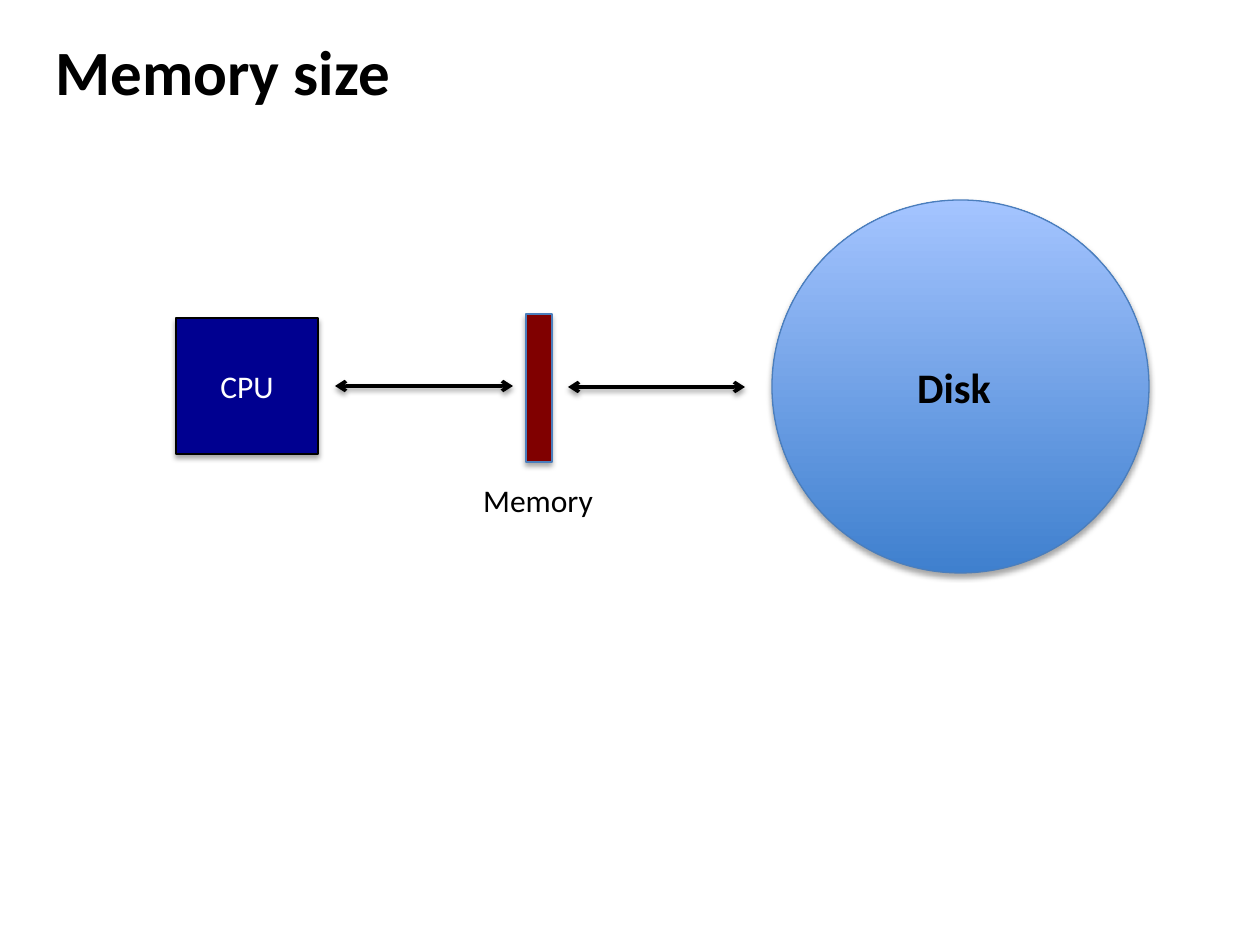
import pptx
import pptx.dml.color
import pptx.enum.shapes
import pptx.enum.text
import pptx.oxml.ns
import pptx.util
from lxml import etree

PX = 914400 / 126
COLORS = {
    "black": "000000",
    "white": "FFFFFF",
    "cpu": "000090",
    "memory": "800000",
    "outline": "4B7EBC",
    "disk_bottom": "3F80CE",
    "disk_top": "A4C4FF",
}
SHAPES = pptx.enum.shapes.MSO_SHAPE
ALIGN = pptx.enum.text.PP_ALIGN


def px(*lengths):
    return [pptx.util.Emu(round(length * PX)) for length in lengths]


def rgb(name):
    return pptx.dml.color.RGBColor.from_string(COLORS[name])


def add_child(parent, tag, **attributes):
    child = etree.SubElement(parent, pptx.oxml.ns.qn(tag))
    for name, value in attributes.items():
        child.set(name, str(value))
    return child


def add_shadow(effects, distance, opacity):
    shadow = add_child(effects, "a:outerShdw", blurRad=pptx.util.Pt(3.1),
                       dist=pptx.util.Pt(distance), dir=5400000, rotWithShape=0)
    color = add_child(shadow, "a:srgbClr", val=COLORS["black"])
    add_child(color, "a:alpha", val=opacity * 1000)


def write_text(shape, text, size, color="black", bold=False, align=ALIGN.CENTER):
    para = shape.text_frame.paragraphs[0]
    para.alignment = align
    span = para.add_run()
    span.text = text
    formats = {"name": "Calibri", "size": pptx.util.Pt(size), "bold": bold}
    for name, value in formats.items():
        setattr(span.font, name, value)
    span.font.color.rgb = rgb(color)


def add_label(page, area, text, size, wrap=True, **style):
    box = page.shapes.add_textbox(*px(*area))
    formats = {"word_wrap": wrap,
               "auto_size": pptx.enum.text.MSO_AUTO_SIZE.SHAPE_TO_FIT_TEXT}
    for name, value in formats.items():
        setattr(box.text_frame, name, value)
    write_text(box, text, size, **style)


def add_part(page, kind, area, fill, outline):
    part = page.shapes.add_shape(kind, *px(*area))
    if isinstance(fill, tuple):
        part.fill.gradient()
        part.fill.gradient_angle = 90
        for stop, color, position in zip(part.fill.gradient_stops, fill, (0, 1)):
            stop.color.rgb = rgb(color)
            stop.position = position
    else:
        part.fill.solid()
        part.fill.fore_color.rgb = rgb(fill)
    part.line.color.rgb = rgb(outline)
    part.line.width = pptx.util.Pt(0.75)
    part.shadow.inherit = False
    effects = part._element.spPr.find(pptx.oxml.ns.qn("a:effectLst"))
    add_shadow(effects, 1.8, 35)
    return part


def add_arrow(page, left, right, height):
    arrow = page.shapes.add_connector(
        pptx.enum.shapes.MSO_CONNECTOR.STRAIGHT, *px(left, height, right, height))
    arrow.line.color.rgb = rgb("black")
    arrow.line.width = pptx.util.Pt(2)
    properties = arrow._element.spPr
    line = properties.find(pptx.oxml.ns.qn("a:ln"))
    for end in ("a:headEnd", "a:tailEnd"):
        add_child(line, end, type="arrow")
    add_shadow(add_child(properties, "a:effectLst"), 1.6, 38)


def main():
    deck = pptx.Presentation()
    deck.slide_width, deck.slide_height = px(1260, 945)
    page = deck.slides.add_slide(deck.slide_layouts[6])

    add_label(page, (43, 26, 364, 89), "Memory size", 36,
              wrap=False, bold=True, align=ALIGN.LEFT)
    cpu = add_part(page, SHAPES.RECTANGLE, (176, 318, 142, 136), "cpu", "black")
    write_text(cpu, "CPU", 18, "white")
    add_part(page, SHAPES.RECTANGLE, (526, 314, 26, 148), "memory", "outline")
    add_label(page, (452, 475, 172, 50), "Memory", 18)
    add_arrow(page, 335, 513, 386)
    add_arrow(page, 568, 745, 387)
    add_part(page, SHAPES.OVAL, (772, 200, 377, 373),
             ("disk_bottom", "disk_top"), "outline")
    add_label(page, (882, 355, 144, 63), "Disk", 24, bold=True)

    deck.save("out.pptx")


if __name__ == "__main__":
    main()
